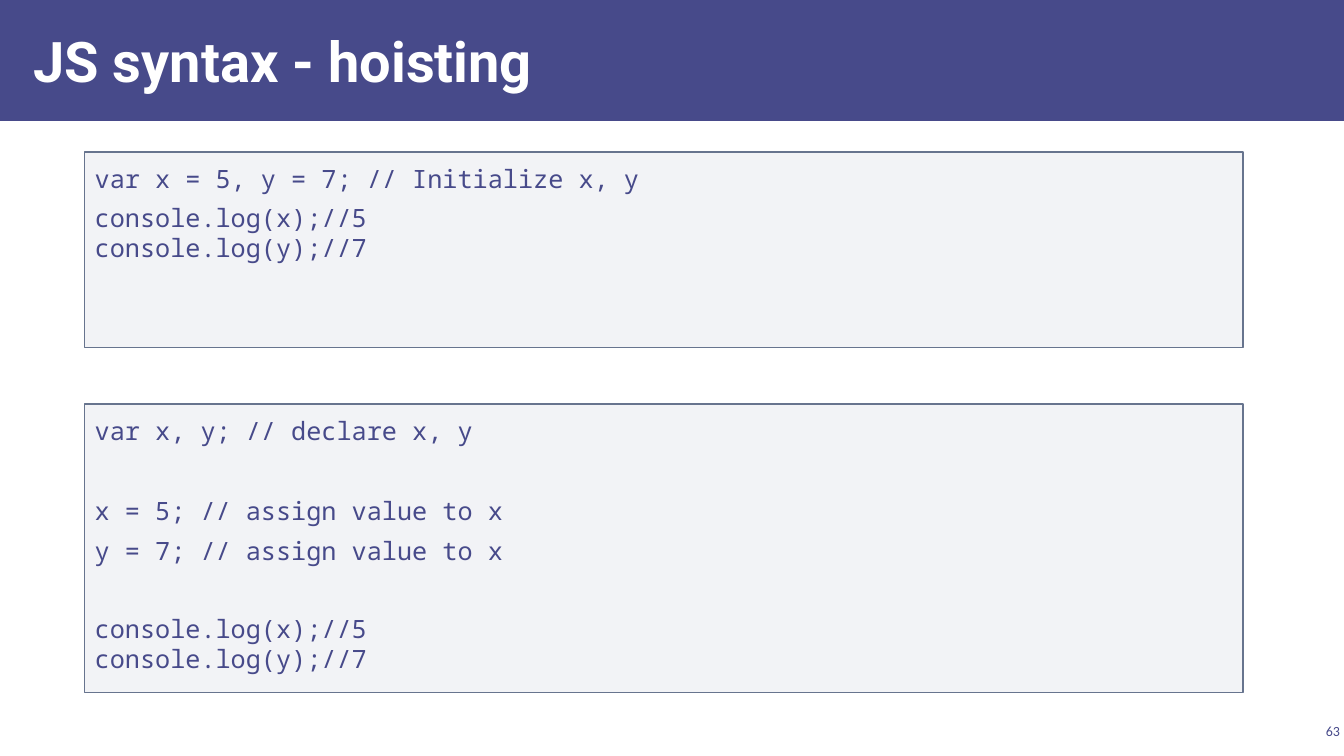
from dataclasses import dataclass

from lxml import etree
from pptx import Presentation
from pptx import util as u
from pptx.dml.color import RGBColor
from pptx.enum import shapes, text
from pptx.oxml import ns


@dataclass(frozen=True)
class Theme:
    indigo: RGBColor = RGBColor(0x47, 0x4A, 0x8A)
    white: RGBColor = RGBColor(0xFF, 0xFF, 0xFF)
    panel: RGBColor = RGBColor(0xAC, 0xB4, 0xC3)
    border: RGBColor = RGBColor(0x67, 0x74, 0x8E)
    panel_alpha: int = 15000
    title_size: int = 40
    code_size: int = 18
    number_size: int = 10


theme = Theme()


def set_frame(frame, anchor, side, top):
    frame.word_wrap = True
    frame.auto_size = text.MSO_AUTO_SIZE.NONE
    frame.vertical_anchor = anchor
    frame.margin_left = frame.margin_right = u.Inches(side)
    frame.margin_top = frame.margin_bottom = u.Inches(top)


def add_run(paragraph, words, font, size, color, bold=False):
    run = paragraph.add_run()
    run.text = words
    run.font.name = font
    run.font.size = u.Pt(size)
    run.font.color.rgb = color
    run.font.bold = bold


prs = Presentation()
prs.slide_width, prs.slide_height = u.Inches(13.33), u.Inches(7.5)
slide = prs.slides.add_slide(prs.slide_layouts[5])

# Header band, placed behind the title
band = slide.shapes.add_shape(
    shapes.MSO_SHAPE.RECTANGLE, 0, 0, prs.slide_width, u.Inches(1.2))
band.shadow.inherit = False
band.fill.solid()
band.fill.fore_color.rgb = theme.indigo
band.line.fill.background()
title = slide.shapes.title
title._element.addprevious(band._element)

# Title
title.left, title.top = u.Inches(0.21), u.Inches(0.11)
title.width, title.height = u.Inches(10.4), u.Inches(0.97)
set_frame(title.text_frame, text.MSO_ANCHOR.MIDDLE, 0.12, 0.04)
heading = title.text_frame.paragraphs[0]
heading.alignment = text.PP_ALIGN.LEFT
add_run(heading, "JS syntax - hoisting", "Roboto", theme.title_size, theme.white, True)

# Slide number
number = slide.shapes.add_textbox(
    u.Inches(12.86), u.Inches(7.14), u.Inches(0.47), u.Inches(0.22))
set_frame(number.text_frame, text.MSO_ANCHOR.MIDDLE, 0.04, 0.04)
number_line = number.text_frame.paragraphs[0]
number_line.alignment = text.PP_ALIGN.RIGHT
add_run(number_line, "63", "Calibri", theme.number_size, theme.indigo)

# Code panels: top, height, and lines as (code, space before, line spacing)
STEP, SECTION = 6, 34
panels = [
    (1.51, 1.94, [
        ("var x = 5, y = 7; // Initialize x, y", 0, 1.05),
        ("console.log(x);//5", STEP, 1.0),
        ("console.log(y);//7", 0, 1.0),
    ]),
    (4.01, 2.86, [
        ("var x, y; // declare x, y", 0, 1.05),
        ("x = 5; // assign value to x", SECTION, 1.05),
        ("y = 7; // assign value to x", STEP, 1.05),
        ("console.log(x);//5", SECTION, 1.0),
        ("console.log(y);//7", 0, 1.0),
    ]),
]
for top, height, code_lines in panels:
    panel = slide.shapes.add_shape(
        shapes.MSO_SHAPE.RECTANGLE,
        u.Inches(0.84), u.Inches(top), u.Inches(11.49), u.Inches(height))
    panel.shadow.inherit = False
    panel.fill.solid()
    panel.fill.fore_color.rgb = theme.panel
    tint = panel._element.spPr.find(ns.qn("a:solidFill")).find(ns.qn("a:srgbClr"))
    etree.SubElement(tint, ns.qn("a:alpha"), val=str(theme.panel_alpha))
    panel.line.color.rgb = theme.border
    panel.line.width = u.Pt(1)

    code = panel.text_frame
    set_frame(code, text.MSO_ANCHOR.TOP, 0.1, 0.1)
    for index, (words, before, spacing) in enumerate(code_lines):
        line = code.add_paragraph() if index else code.paragraphs[0]
        line.alignment = text.PP_ALIGN.LEFT
        line.space_before = u.Pt(before)
        line.line_spacing = spacing
        add_run(line, words, "Noto Sans Mono", theme.code_size, theme.indigo)

prs.save("out.pptx")
